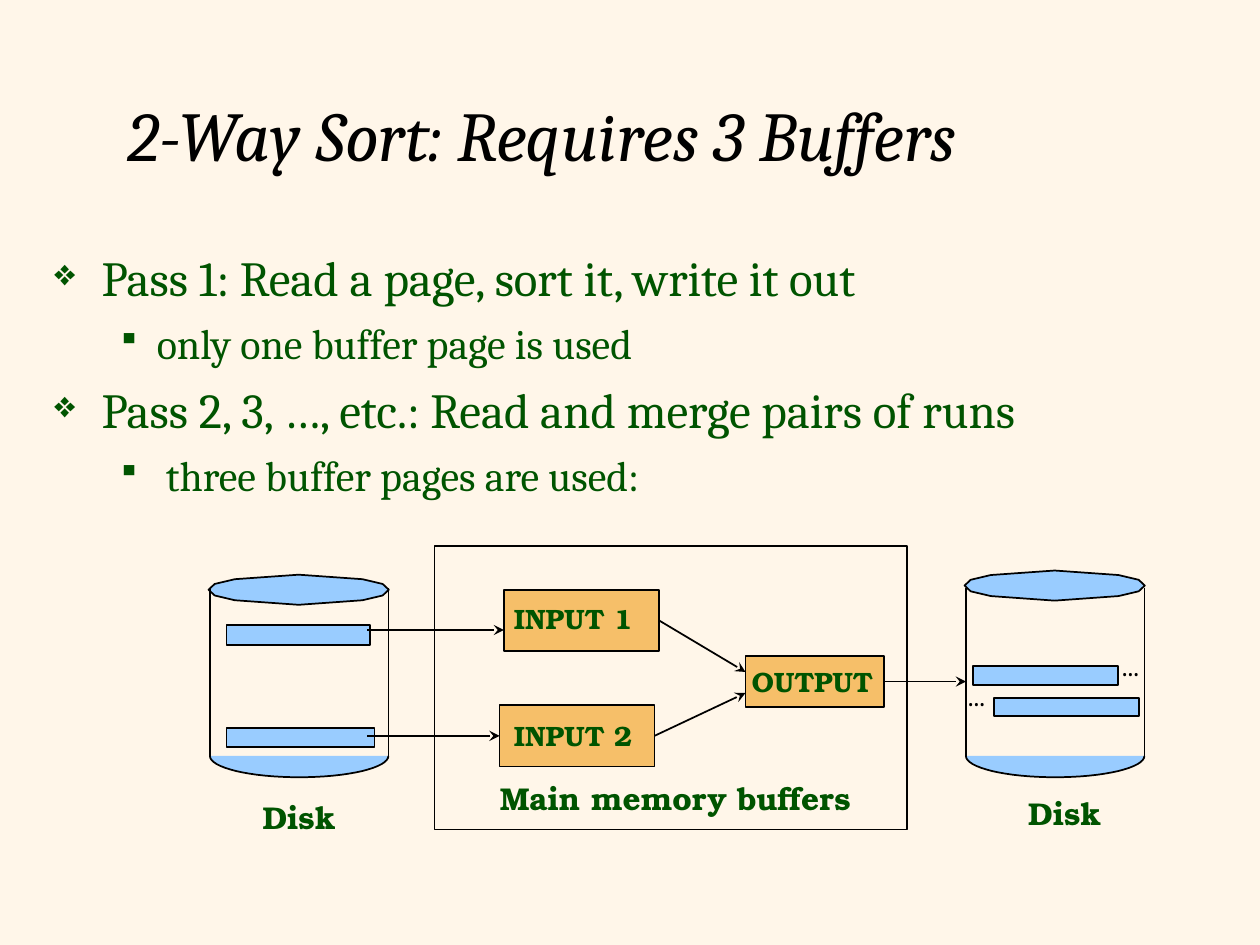
from math import cos, pi, sin

from lxml.etree import SubElement
from pptx import Presentation
from pptx.dml.color import RGBColor
from pptx.enum.shapes import MSO_CONNECTOR, MSO_SHAPE
from pptx.enum.text import MSO_ANCHOR
from pptx.oxml.ns import qn
from pptx.util import Pt

GREEN, BLACK, BLUE, ORANGE = "005400", "000000", "99CCFF", "F6BF69"
SERIF, SLAB = "Cambria", "TeX Gyre Bonum"


def paint(shape, fill=None):
    """Give a shape a plain fill, or none, and a thin black outline."""
    shape.shadow.inherit = False
    if fill:
        shape.fill.solid()
        shape.fill.fore_color.rgb = RGBColor.from_string(fill)
    else:
        shape.fill.background()
    shape.line.color.rgb = RGBColor.from_string(BLACK)
    shape.line.width = Pt(1)


def write(para, text, color, **font):
    """Add one formatted span to a paragraph."""
    span = para.add_run()
    span.text = text
    span.font.color.rgb = RGBColor.from_string(color)
    for name, value in font.items():
        setattr(span.font, name, value)


deck = Presentation()
deck.slide_width, deck.slide_height = Pt(720), Pt(540)
page = deck.slides.add_slide(deck.slide_layouts[6])
page.background.fill.solid()
page.background.fill.fore_color.rgb = RGBColor.from_string("FFF6E9")
shapes = page.shapes

# Title
title = shapes.add_textbox(Pt(66), Pt(33), Pt(612), Pt(87)).text_frame
title.word_wrap = True
title.vertical_anchor = MSO_ANCHOR.MIDDLE
write(title.paragraphs[0], "2-Way Sort: Requires 3 Buffers", BLACK,
      name=SERIF, size=Pt(40), italic=True)

# Bulleted text: format of each level, then its lines
levels = [
    {"mark": "❖", "size": 28, "before": 7, "left": 27, "hang": 27},
    {"mark": "▪", "size": 24, "before": 6, "left": 58.5, "hang": 22.5},
]
lines = [
    (0, "Pass 1: Read a page, sort it, write it out"),
    (1, "only one buffer page is used"),
    (0, "Pass 2, 3, …, etc.: Read and merge pairs of runs"),
    (1, " three buffer pages are used:"),
]
body = shapes.add_textbox(Pt(24), Pt(138), Pt(690), Pt(372)).text_frame
body.word_wrap = True
for number, (depth, text) in enumerate(lines):
    para = body.add_paragraph() if number else body.paragraphs[0]
    level = levels[depth]
    para.level = depth
    para.space_before = Pt(level["before"])
    write(para, text, GREEN, name=SERIF, size=Pt(level["size"]))
    properties = para._p.get_or_add_pPr()
    properties.set("marL", str(Pt(level["left"])))
    properties.set("indent", str(-Pt(level["hang"])))
    bullet_color = SubElement(properties, qn("a:buClr"))
    SubElement(bullet_color, qn("a:srgbClr"), val=GREEN)
    SubElement(properties, qn("a:buSzPct"), val="75000")
    SubElement(properties, qn("a:buChar"), char=level["mark"])

# Disks: faceted lid, two walls and an open half-ellipse as the bottom
quarter = [(51.5, 0), (48, 3.3), (36.5, 6), (0, 8.6)]
half = quarter + [(-x, y) for x, y in quarter[-2::-1]]
lid = half + [(-x, -y) for x, y in half[1:-1]]
bowl = [(51 * cos(pi * step / 32), 12.2 * sin(pi * step / 32)) for step in range(33)]
walls = []
for wall_left, lid_y in [(120, 337), (552, 334.6)]:
    for outline, center_x, center_y, closed in [
        (lid, wall_left + 50.7, lid_y, True),
        (bowl, wall_left + 51, 432, False),
    ]:
        points = [(Pt(center_x + x), Pt(center_y + y)) for x, y in outline]
        builder = shapes.build_freeform(*points[0], scale=1.0)
        builder.add_line_segments(points[1:], close=closed)
        paint(builder.convert_to_shape(), BLUE)
    walls += [(x, 336, x, 432) for x in (wall_left, wall_left + 102)]

# Sorted runs stored on the disks
for left, top, width, height in [
    (129.5, 357, 82, 11.5),
    (129.5, 416, 84.5, 11),
    (556, 380.5, 83, 11),
    (568, 399, 83, 10),
]:
    run_bar = shapes.add_shape(MSO_SHAPE.RECTANGLE, Pt(left), Pt(top), Pt(width), Pt(height))
    paint(run_bar, BLUE)

# Main memory frame
memory = shapes.add_shape(MSO_SHAPE.RECTANGLE, Pt(248.3), Pt(312), Pt(270), Pt(162))
paint(memory)

# Buffers inside main memory
buffers = {}
for label, left, top, width, height, inset_left, inset_top in [
    ("INPUT 1", 288, 337, 88.5, 35, 5.7, 6.5),
    ("INPUT 2", 285.5, 403, 88.5, 35, 8.2, 7.4),
    ("OUTPUT", 426, 375, 79, 29, 3.5, 4.5),
]:
    box = shapes.add_shape(MSO_SHAPE.RECTANGLE, Pt(left), Pt(top), Pt(width), Pt(height))
    paint(box, ORANGE)
    frame = box.text_frame
    layout = {"word_wrap": False, "vertical_anchor": MSO_ANCHOR.TOP,
              "margin_left": Pt(inset_left), "margin_top": Pt(inset_top),
              "margin_right": 0, "margin_bottom": 0}
    for name, value in layout.items():
        setattr(frame, name, value)
    frame.paragraphs[0].alignment = 1  # left
    write(frame.paragraphs[0], label, GREEN, name=SLAB, size=Pt(16), bold=True)
    buffers[label] = box

# Disk walls and data flow: ends, then the buffer side joined at either end
flows = [
    ((210, 360, 288, 360), None, None),
    ((210, 420.5, 285.5, 420.5), None, ("INPUT 2", 1)),
    ((376.5, 354.5, 426, 384), ("INPUT 1", 3), None),
    ((374, 420.5, 426, 396), ("INPUT 2", 3), None),
    ((505, 389.5, 552, 389.5), ("OUTPUT", 3), None),
]
for ends, start, finish in [(wall, None, None) for wall in walls] + flows:
    line = shapes.add_connector(MSO_CONNECTOR.STRAIGHT, *[Pt(value) for value in ends])
    line.line.color.rgb = RGBColor.from_string(BLACK)
    line.line.width = Pt(1)
    if start:
        line.begin_connect(buffers[start[0]], start[1])
    if finish:
        line.end_connect(buffers[finish[0]], finish[1])
    if ends not in walls:
        SubElement(line.line._get_or_add_ln(), qn("a:tailEnd"), type="stealth")
    SubElement(line._element.spPr, qn("a:effectLst"))

# Captions and the dots that continue the output runs
caption = {"name": SLAB, "size": Pt(18), "bold": True}
dots = {"name": SERIF, "size": Pt(16)}
for text, left, top, width, height, color, font in [
    ("Main memory buffers", 278.5, 441.5, 215, 29, GREEN, caption),
    ("Disk", 143, 452.5, 56, 29, GREEN, caption),
    ("Disk", 580.5, 450, 56, 29, GREEN, caption),
    ("...", 546, 384, 36, 26, BLACK, dots),
    ("...", 634, 367, 36, 26, BLACK, dots),
]:
    box = shapes.add_textbox(Pt(left), Pt(top), Pt(width), Pt(height))
    box.text_frame.word_wrap = text != "Disk"
    write(box.text_frame.paragraphs[0], text, color, **font)

deck.save("out.pptx")
